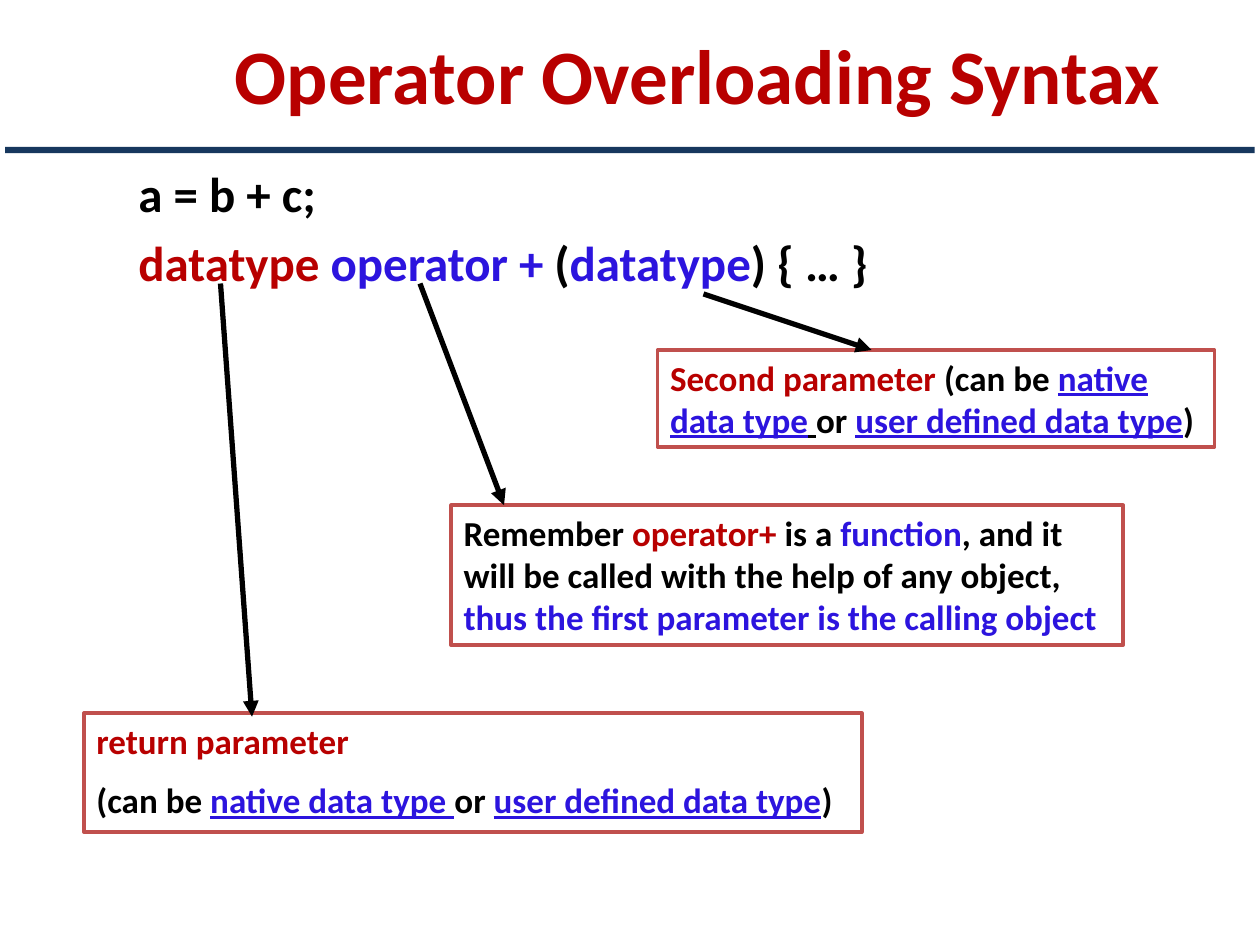
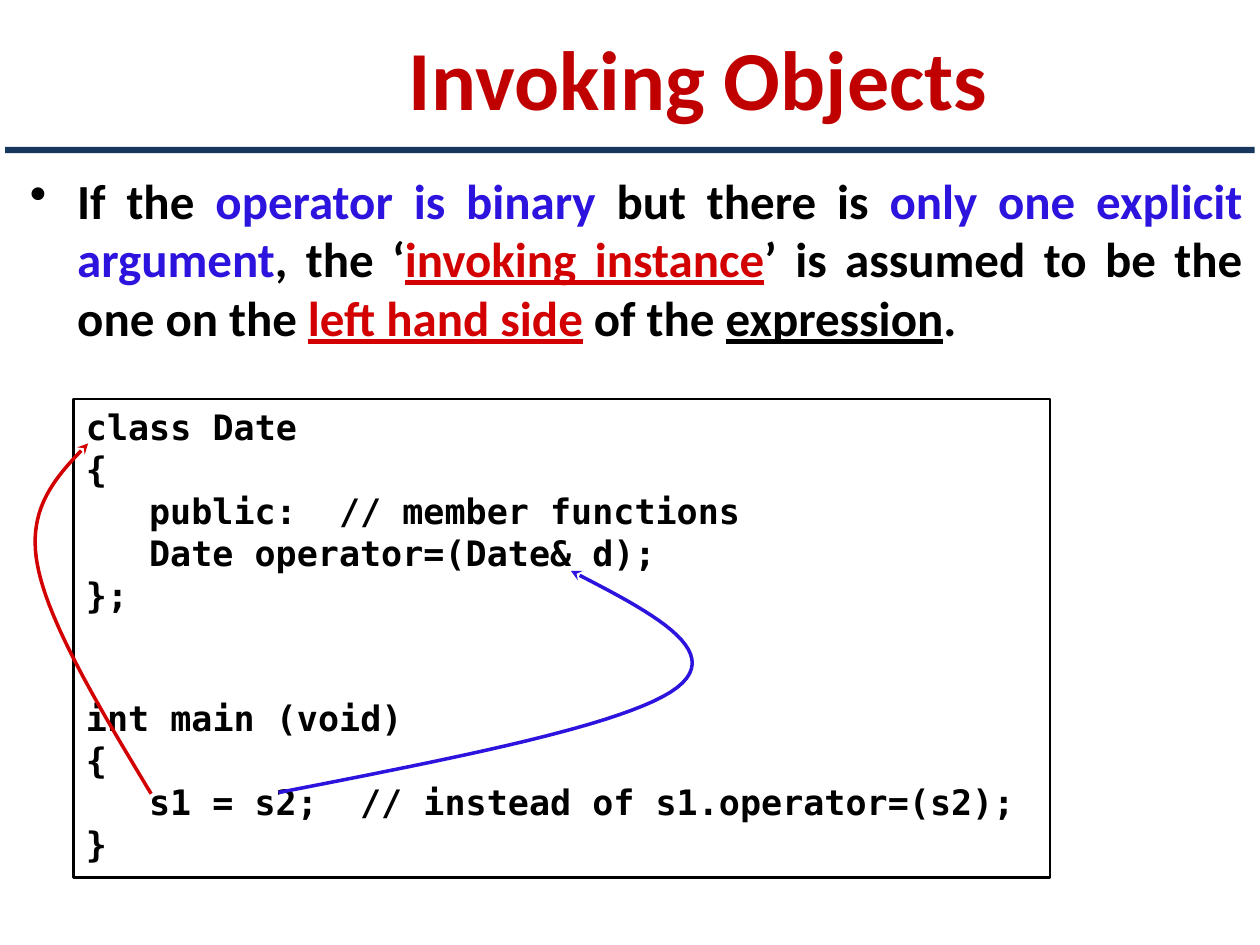
from dataclasses import dataclass

from lxml import etree
from pptx import Presentation
from pptx.dml.color import RGBColor
from pptx.enum import shapes, text
from pptx.oxml import ns
from pptx.util import Pt


@dataclass(frozen=True)
class Theme:
    black: str = "000000"
    white: str = "FFFFFF"
    navy: str = "17375E"
    crimson: str = "B80000"
    title_red: str = "C00000"
    red: str = "D20000"
    blue: str = "2C14DE"
    frame: str = "C0504D"
    font: str = "Calibri"
    code_font: str = "DejaVu Sans Mono"
    body_size: float = 28
    note_size: float = 20
    heading_size: float = 44
    large_heading_size: float = 48


THEME = Theme()
CURVE_STEPS = 24
CODE_INDENT = 36.12
TWO_CODE_LINES = 46.56


@dataclass(frozen=True)
class Span:
    text: str
    color: str = THEME.black
    underline: bool = False


@dataclass(frozen=True)
class Para:
    spans: tuple[Span, ...]
    before: float = 0
    align: text.PP_ALIGN = text.PP_ALIGN.LEFT
    indent: float = 0
    bullet: str = ""


@dataclass(frozen=True)
class Area:
    left: float
    top: float
    width: float
    height: float

    def lengths(self) -> tuple:
        return tuple(Pt(v) for v in (self.left, self.top, self.width, self.height))


@dataclass(frozen=True)
class Note:
    area: Area
    paras: tuple[Para, ...]
    arrow_from: tuple[float, float]
    arrow_to: tuple[float, float]


@dataclass(frozen=True)
class Curve:
    """A start point followed by cubic sections of two controls and an end."""
    start: tuple[float, float]
    sections: tuple
    color: str


def rgb(color: str) -> RGBColor:
    return RGBColor.from_string(color)


def set_all(target, values: dict) -> None:
    for name, value in values.items():
        setattr(target, name, value)


def write(frame, paras: tuple[Para, ...], size: float, font: str = THEME.font,
          anchor=text.MSO_ANCHOR.TOP) -> None:
    set_all(frame, {"word_wrap": True, "vertical_anchor": anchor})
    for index, item in enumerate(paras):
        para = frame.add_paragraph() if index else frame.paragraphs[0]
        set_all(para, {"alignment": item.align, "space_before": Pt(item.before)})
        props = para._p.get_or_add_pPr()
        if item.indent:
            props.set("marL", str(Pt(item.indent)))
        if item.bullet:
            props.set("indent", str(Pt(-item.indent)))
            etree.SubElement(props, ns.qn("a:buChar")).set("char", item.bullet)
        for part in item.spans:
            span = para.add_run()
            span.text = part.text
            set_all(span.font, {"name": font, "size": Pt(size), "bold": True,
                                "underline": part.underline})
            span.font.color.rgb = rgb(part.color)


def add_text(page, area: Area, paras: tuple[Para, ...], size: float,
             anchor=text.MSO_ANCHOR.TOP) -> None:
    box = page.shapes.add_textbox(*area.lengths())
    write(box.text_frame, paras, size, anchor=anchor)


def add_rect(page, area: Area, fill: str = "", line: str = "", weight: float = 0):
    box = page.shapes.add_shape(shapes.MSO_SHAPE.RECTANGLE, *area.lengths())
    box.shadow.inherit = False
    if fill:
        box.fill.solid()
        box.fill.fore_color.rgb = rgb(fill)
    else:
        box.fill.background()
    if line:
        style_line(box.line, line, weight)
    else:
        box.line.fill.background()
    return box


def style_line(line, color: str, weight: float, head: str = "") -> None:
    line.color.rgb = rgb(color)
    line.width = Pt(weight)
    if head:
        etree.SubElement(line._get_or_add_ln(), ns.qn("a:tailEnd")).set("type", head)


def add_arrow(page, start: tuple[float, float], end: tuple[float, float]) -> None:
    arrow = page.shapes.add_connector(shapes.MSO_CONNECTOR.STRAIGHT,
                                      *(Pt(v) for v in start + end))
    style_line(arrow.line, THEME.black, 3, "triangle")
    etree.SubElement(arrow._element.spPr, ns.qn("a:effectLst"))


def cubic(points: tuple, t: float) -> tuple:
    weights = ((1 - t) ** 3, 3 * t * (1 - t) ** 2, 3 * t ** 2 * (1 - t), t ** 3)
    return tuple(Pt(sum(w * p[axis] for w, p in zip(weights, points)))
                 for axis in (0, 1))


def add_curve(page, curve: Curve) -> None:
    builder = page.shapes.build_freeform(*(Pt(v) for v in curve.start))
    start = curve.start
    for section in curve.sections:
        builder.add_line_segments([cubic((start, *section), step / CURVE_STEPS)
                                   for step in range(1, CURVE_STEPS + 1)], close=False)
        start = section[-1]
    shape = builder.convert_to_shape()
    shape.shadow.inherit = False
    shape.fill.background()
    style_line(shape.line, curve.color, 2, "stealth")


def add_page(deck, heading: str, color: str, size: float, height: float):
    """Add a page with its heading and the rule below it."""
    page = deck.slides.add_slide(deck.slide_layouts[6])
    add_text(page, Area(78, 0, 642, height),
             (Para((Span(heading, color),), align=text.PP_ALIGN.CENTER),),
             size, text.MSO_ANCHOR.MIDDLE)
    add_rect(page, Area(3, 84, 714, 3.6), THEME.navy)
    return page


NATIVE = Span("native data type", THEME.blue, True)
USER_DEFINED = Span("user defined data type", THEME.blue, True)
SYNTAX = (
    Para((Span("a = b + c;"),)),
    Para((Span("datatype ", THEME.crimson), Span("operator + ", THEME.blue), Span("("),
          Span("datatype", THEME.blue), Span(") { … }")), before=5.6),
)
NOTES = (
    Note(Area(48, 407.5, 444.5, 68),
         (Para((Span("return parameter", THEME.crimson),)),
          Para((Span("(can be "), Span("native data type ", THEME.blue, True),
                Span("or "), USER_DEFINED, Span(")")), before=10)),
         (126, 162), (144, 409.5)),
    Note(Area(375.8, 200, 318.2, 55.5),
         (Para((Span("Second parameter ", THEME.crimson), Span("(can be "), NATIVE,
                Span(" ", underline=True), Span("or "), USER_DEFINED, Span(")"))),),
         (402, 168), (498, 200)),
    Note(Area(257.8, 288.7, 384, 80),
         (Para((Span("Remember "), Span("operator+", THEME.crimson), Span(" is a "),
                Span("function", THEME.blue),
                Span(", and it will be called with the help of any object, "),
                Span("thus the first parameter is the calling object", THEME.blue))),),
         (240, 162), (288, 288.7)),
)
RULE_OF_INVOKING = Para(
    (Span("If the "), Span("operator is binary ", THEME.blue), Span("but there is "),
     Span("only one explicit argument", THEME.blue), Span(", the ‘"),
     Span("invoking instance", THEME.red, True),
     Span("’ is assumed to be the one on the "),
     Span("left hand side", THEME.red, True), Span(" of the "),
     Span("expression", underline=True), Span(".")),
    before=5.6, align=text.PP_ALIGN.JUSTIFY, indent=27, bullet="•")
# Each line of code: text, indent, space before
CODE = (
    ("class Date", 0, 0),
    ("{", 0, 0),
    ("public:  // member functions", CODE_INDENT, 0),
    ("Date operator=(Date& d);", CODE_INDENT, 0),
    ("};", 0, 0),
    ("int main (void)", 0, TWO_CODE_LINES),
    ("{", 0, 0),
    ("s1 = s2;  // instead of s1.operator=(s2);", CODE_INDENT, 0),
    ("}", 0, 0),
)
CURVES = (
    Curve((86.4, 453.6), (((56.9, 404.6), (27.4, 355.7), (21.4, 322.6)),
                          ((15.1, 289.4), (33.1, 271.4), (50.4, 253.4))), THEME.red),
    Curve((159.1, 452.9), (((259.2, 433.4), (359.3, 414), (386.8, 393)),
                           ((414.7, 371.5), (370.8, 349.2), (326.2, 326.2))), THEME.blue),
)


def build_syntax_page(deck) -> None:
    page = add_page(deck, "Operator Overloading Syntax", THEME.crimson,
                    THEME.heading_size, 84)
    add_text(page, Area(72, 90, 648, 80), SYNTAX, THEME.body_size)
    for note in NOTES:
        box = add_rect(page, note.area, THEME.white, THEME.frame, 2)
        write(box.text_frame, note.paras, THEME.note_size)
        add_arrow(page, note.arrow_from, note.arrow_to)


def build_invoking_page(deck) -> None:
    page = add_page(deck, "Invoking Objects", THEME.title_red,
                    THEME.large_heading_size, 88)
    add_text(page, Area(10, 93.6, 707, 156), (RULE_OF_INVOKING,), THEME.body_size)
    listing = add_rect(page, Area(42, 228, 558, 273.6), line=THEME.black, weight=1.5)
    write(listing.text_frame,
          tuple(Para((Span(line),), before, indent=indent)
                for line, indent, before in CODE),
          THEME.note_size, THEME.code_font)
    for curve in CURVES:
        add_curve(page, curve)


def main() -> None:
    deck = Presentation()
    set_all(deck, {"slide_width": Pt(720), "slide_height": Pt(540)})
    build_syntax_page(deck)
    build_invoking_page(deck)
    deck.save("out.pptx")


if __name__ == "__main__":
    main()
